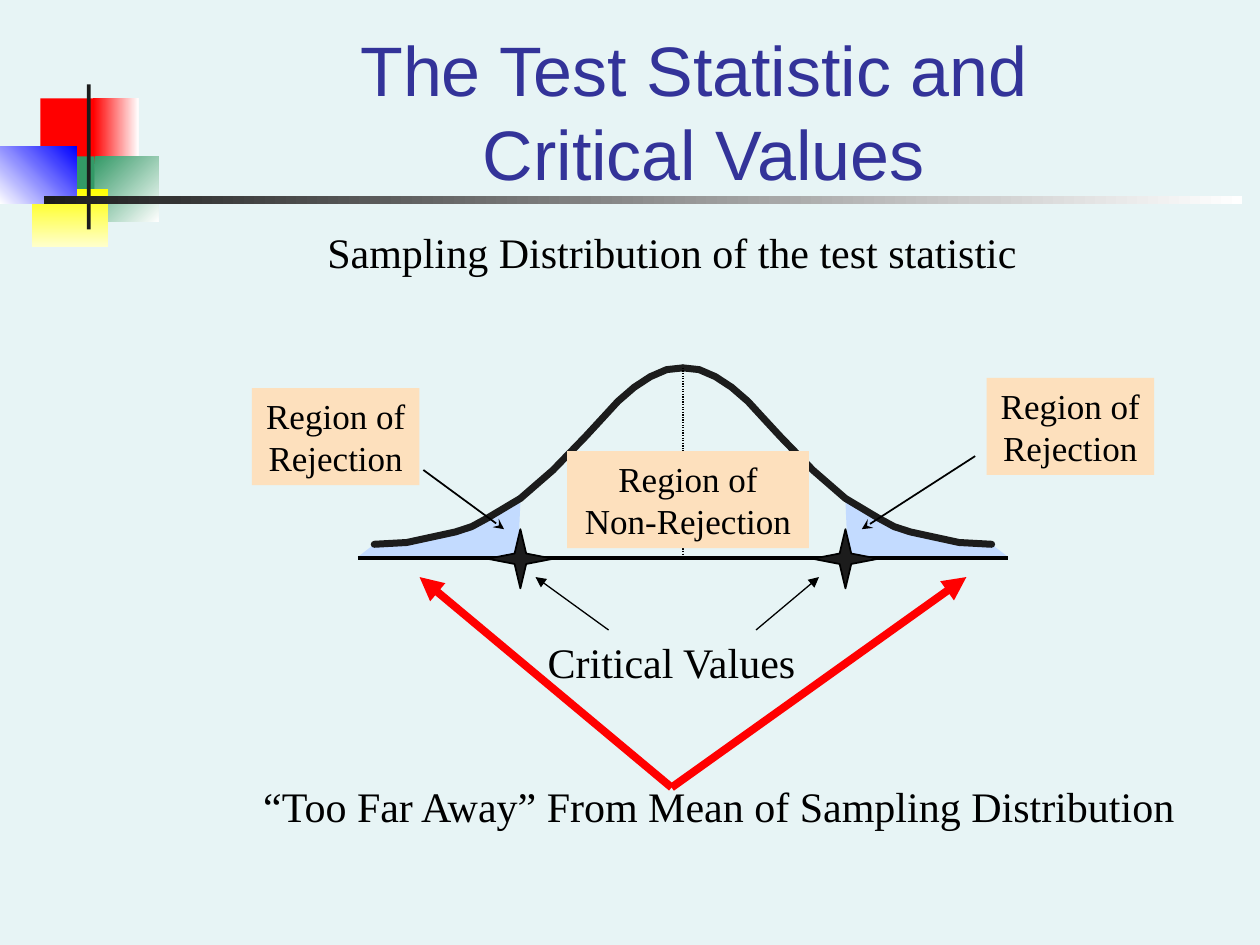
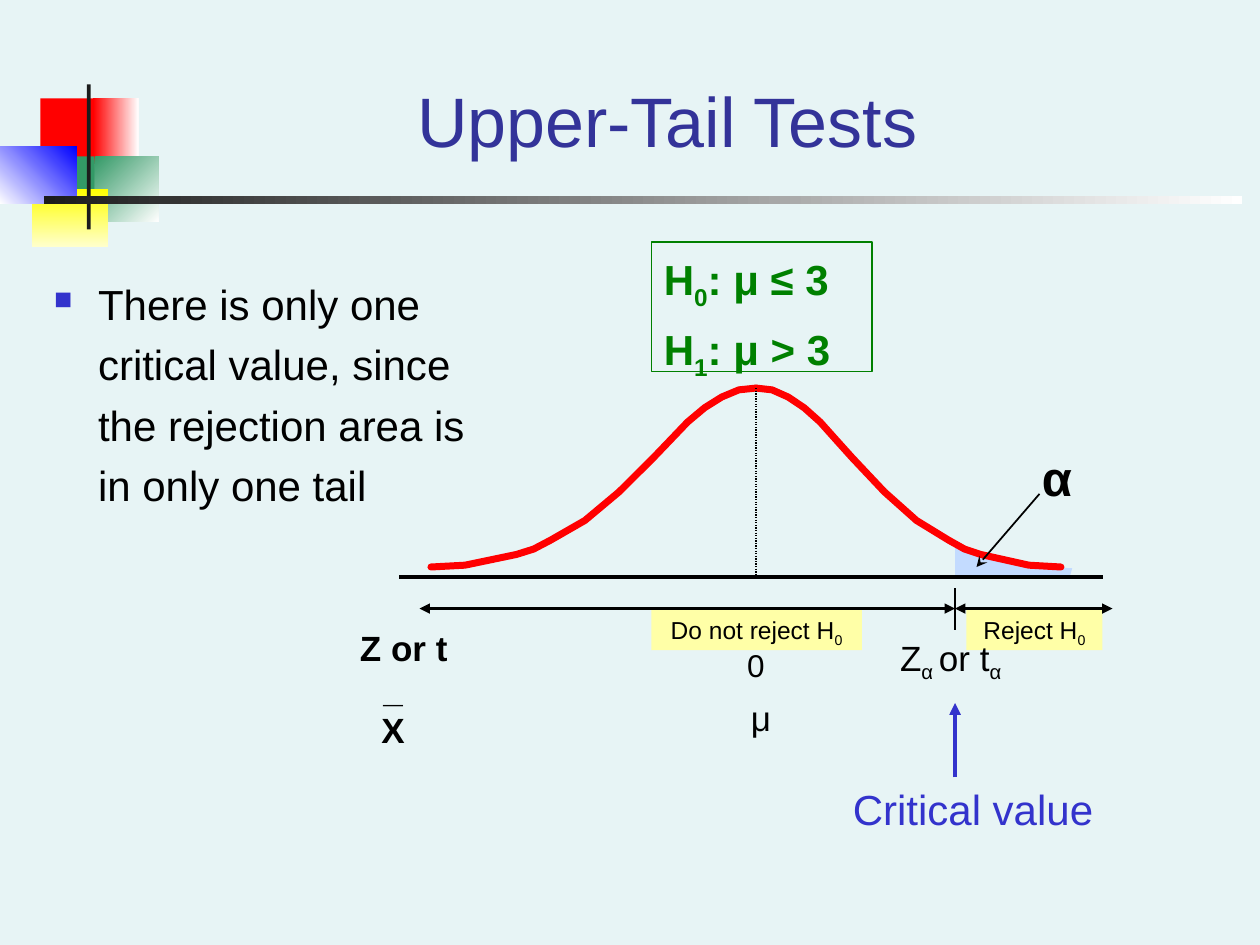
from pptx import Presentation
from pptx.dml.color import RGBColor
from pptx.enum.dml import MSO_LINE
from pptx.enum.shapes import MSO_CONNECTOR, MSO_SHAPE
from pptx.enum.text import MSO_ANCHOR, PP_ALIGN
from pptx.oxml.ns import qn
from pptx.util import Inches, Pt
from lxml.etree import SubElement

PAPER, INK, BLACK, WHITE = "E7F4F5", "1C1C1C", "000000", "FFFFFF"
NAVY, BLUE, RED, GREEN = "333399", "3333CC", "FF0000", "008000"
TAIL, PEACH, LEMON = "C3DBFF", "FDE0BD", "FFFFA7"
SANS, SERIF = "Arial", "Times New Roman"

STEPS = [0, 2, 3, 4, 5, 6, 7, 9, 11, 13, 14, 15, 16, 17, 18, 19]
RISE = [0, .01, .03, .05, .07, .1, .15, .26, .42, .61, .71, .81, .89, .95, .99, 1]


def tint(code):
    return RGBColor.from_string(code)


def paint(shape, fill=None, line=None, width=1):
    shape.shadow.inherit = False
    if fill:
        shape.fill.solid()
        shape.fill.fore_color.rgb = tint(fill)
    else:
        shape.fill.background()
    if line:
        shape.line.color.rgb = tint(line)
        shape.line.width = Pt(width)
    else:
        shape.line.fill.background()


def block(slide, box, kind=MSO_SHAPE.RECTANGLE, **style):
    shape = slide.shapes.add_shape(kind, *map(Inches, box))
    paint(shape, **style)
    return shape


def fade(slide, box, start, end, angle):
    fill = block(slide, box).fill
    fill.gradient()
    fill.gradient_angle = -angle % 360
    for stop, code in zip(fill.gradient_stops, (start, end)):
        stop.color.rgb = tint(code)


def put(slide, text, box, size=20, font=SANS, color=BLACK, bold=False,
        align="CENTER", anchor="TOP", gap=0, leads=None, fill=None, line=None):
    if fill or line:
        shape = block(slide, box, fill=fill, line=line, width=.75)
    else:
        shape = slide.shapes.add_textbox(*map(Inches, box))
    frame = shape.text_frame
    frame.word_wrap = True
    frame.vertical_anchor = MSO_ANCHOR[anchor]
    paras = [text] if isinstance(text, str) else text
    for i, words in enumerate(paras):
        para = frame.add_paragraph() if i else frame.paragraphs[0]
        para.alignment = PP_ALIGN[align]
        if i:
            para.space_before = Pt(gap)
        if leads:
            para.line_spacing = leads[i]
        for j, part in enumerate(words.split("~")):
            for k, bit in enumerate(part.split("\n")):
                if k:
                    para.add_line_break()
                if not bit:
                    continue
                run = para.add_run()
                run.text = bit
                run.font.size = Pt(size)
                run.font.name = font
                run.font.bold = bold
                run.font.color.rgb = tint(color)
                if j % 2:
                    run.font._element.set("baseline", "-25000")
    return frame


def link(slide, start, end, color=BLACK, width=1, head=None, tail=None, dash=None):
    wire = slide.shapes.add_connector(
        MSO_CONNECTOR.STRAIGHT, *map(Inches, (*start, *end)))
    wire.line.color.rgb = tint(color)
    wire.line.width = Pt(width)
    if dash:
        wire.line.dash_style = dash
    line = wire.line._get_or_add_ln()
    for tag, kind in (("a:headEnd", head), ("a:tailEnd", tail)):
        if kind:
            SubElement(line, qn(tag), type=kind)
    SubElement(wire._element.spPr, qn("a:effectLst"))


def trace(slide, points, close=False, **style):
    first, *rest = [(Inches(x), Inches(y)) for x, y in points]
    pen = slide.shapes.build_freeform(*first)
    pen.add_line_segments(rest, close=close)
    shape = pen.convert_to_shape()
    paint(shape, **style)
    return shape


def bell(slide, mid, top, left, right, high, color):
    for span in (-left, right):
        points = [(mid + span * (1 - step / 19), top + high * (1 - rise))
                  for step, rise in zip(STEPS, RISE)]
        shape = trace(slide, points, line=color, width=4)
        shape.line._get_or_add_ln().set("cap", "rnd")


def wedge(slide, mid, base, points, side=1):
    trace(slide, [(mid + side * x, base - y) for x, y in points],
          close=True, fill=TAIL)


def badge(slide, x, y):
    block(slide, (x + .32, y + .11, .48, .52), fill=RED)
    fade(slide, (x + .74, y + .11, .36, .52), RED, WHITE, 0)
    fade(slide, (x + .75, y + .57, .51, .52), "339966", WHITE, 45)
    block(slide, (x + .43, y + .57, .32, .52), fill="339966")
    fade(slide, (x + .25, y + .83, .61, .46), "FFFF00", "FFFFCC", 90)
    fade(slide, (x, y + .49, .61, .46), WHITE, "0000FF", 315)
    block(slide, (x + .69, y, .03, 1.15), fill=INK)
    fade(slide, (x + .35, y + .89, 9.51, .06), INK, WHITE, 0)


def start(deck, title, box):
    slide = deck.slides.add_slide(deck.slide_layouts[6])
    slide.background.fill.solid()
    slide.background.fill.fore_color.rgb = tint(PAPER)
    badge(slide, 0, .67)
    put(slide, title, box, size=40, color=NAVY, anchor="BOTTOM")
    return slide


def two_tails(slide, mid, base):
    shade = [(2.58, .01), (2.45, .11), (1.92, .19), (1.65, .27),
             (1.35, .44), (1.29, .45), (1.31, 0), (2.58, 0)]
    for side in (1, -1):
        wedge(slide, mid, base, shade, side)
    bell(slide, mid, base - 1.51, 2.45, 2.45, 1.4, INK)
    link(slide, (mid - 2.58, base), (mid + 2.58, base), width=2)
    link(slide, (mid, base - 1.51), (mid, base), width=.75, dash=MSO_LINE.ROUND_DOT)
    for side in (-1, 1):
        block(slide, (mid + side * 1.29 - .26, base - .23, .52, .47),
              MSO_SHAPE.STAR_4_POINT, fill=INK, line=BLACK)
    for tip, end in (((-2.06, -.7), (-1.42, -.23)), ((2.32, -.81), (1.42, -.23))):
        link(slide, (mid + tip[0], base + tip[1]),
             (mid + end[0], base + end[1]), tail="stealth")


def notes(slide, x, y):
    frame = put(slide, ["Critical Values",
                        "“Too Far Away” From Mean of Sampling Distribution"],
                (x, y, 8.5, 1.7), size=24, font=SERIF, gap=53.5)
    frame.paragraphs[1]._p.get_or_add_pPr().set("marL", str(Inches(.75)))
    for tip, end in ((3.75, 3.17), (4.92, 5.42)):
        link(slide, (x + tip, y), (x + end, y - .42), width=.75, tail="triangle")


def labels(slide, x, y):
    look = dict(font=SERIF, fill=PEACH)
    for dx, dy in ((0, .08), (5.83, 0)):
        put(slide, "Region of Rejection", (x + dx, y + dy, 1.33, .77), **look)
    for end in (1.33, 5.67):
        link(slide, (x + 3.33, y + 3.25), (x + end, y + 1.58), color=RED,
             width=4.5, tail="triangle")
    put(slide, ["Region of", "Non-Rejection"],
        (x + 2.5, y + .58, 1.92, .77), **look)


def critical(deck):
    slide = start(deck, "The Test Statistic and \nCritical Values",
                  (1.75, .17, 7.67, 1.42))
    two_tails(slide, 5.42, 4.43)
    notes(slide, 1.08, 5)
    put(slide, "Sampling Distribution of the test statistic",
        (2.5, 1.75, 6.42, .5), size=24, font=SERIF, align="LEFT")
    labels(slide, 2, 3)


def one_tail(slide, mid, base):
    wedge(slide, mid, base, [(2.49, 0), (2.51, .07), (2.1, .09), (1.84, .16),
                             (1.71, .18), (1.58, .25), (1.58, 0)])
    bell(slide, mid, base - 1.5, 2.58, 2.42, 1.42, RED)
    link(slide, (mid - 2.83, base), (mid + 2.75, base), width=2)
    link(slide, (mid + 2.25, base - .66), (mid + 1.75, base - .08), tail="stealth")
    put(slide, "α", (mid + 2.17, base - 1.08, .58, .56), size=28, bold=True,
        align="LEFT")
    link(slide, (mid, base - 1.5), (mid, base), width=.75, dash=MSO_LINE.ROUND_DOT)


def scale(slide, x, y):
    for text, dx, wide in (("Reject H~0", 4.34, 1.08), ("Do not reject H~0", 1.84, 1.67)):
        put(slide, text, (x + dx, y, wide, .33), size=14, fill=LEMON)
    cut = x + 4.25
    link(slide, (cut, y - .16), (cut, y + .17), width=1.5)
    for left, right in ((cut, x + 5.5), (x, cut)):
        link(slide, (left, y), (right, y), width=1.5,
             head="triangle", tail="triangle")
    put(slide, "Z~α ~or t~α", (x + 3.59, y + .17, 1.25, .43))
    put(slide, "0", (x + 2.42, y + .25, .5, .4), size=18)
    put(slide, "μ", (x + 2.42, y + .65, .58, .43))
    put(slide, "Critical value", (x + 3.34, y + 1.34, 2.17, .5), size=24,
        color=BLUE, align="LEFT")
    link(slide, (cut, y + 1.34), (cut, y + .75), color=BLUE, width=2.25,
         tail="triangle")
    for text, dx, dy, wide in (("Z or t", -.75, .09, 1.25),
                               ("X", -.5, .74, .58), ("_", -.5, .42, .58)):
        put(slide, text, (x + dx, y + dy, wide, .43), bold=True)


def point(slide, text, box):
    frame = put(slide, text, box, size=24, align="LEFT", leads=[1.2])
    props = frame.paragraphs[0]._p.get_or_add_pPr()
    props.set("marL", str(Inches(.35)))
    props.set("indent", str(Inches(-.35)))
    SubElement(SubElement(props, qn("a:buClr")), qn("a:srgbClr"), val=BLUE)
    SubElement(props, qn("a:buSzPct"), val="60000")
    SubElement(props, qn("a:buChar"), char="■")


def upper(deck):
    slide = start(deck, "Upper-Tail Tests", (1.26, .25, 8.07, 1.08))
    scale(slide, 3.33, 4.83)
    one_tail(slide, 6, 4.58)
    put(slide, ["H~0~: μ ≤ 3", "H~1~: μ > 3"], (5.17, 1.92, 1.75, 1.03), size=24,
        color=GREEN, bold=True, align="LEFT", gap=13, leads=[1.1, .7], line=GREEN)
    point(slide, "There is only one critical value, since the rejection area "
          "is in only one tail", (.33, 2.08, 3.67, 2.42))


def main():
    deck = Presentation()
    deck.slide_width, deck.slide_height = Inches(10), Inches(7.5)
    critical(deck)
    upper(deck)
    deck.save("out.pptx")


if __name__ == "__main__":
    main()
